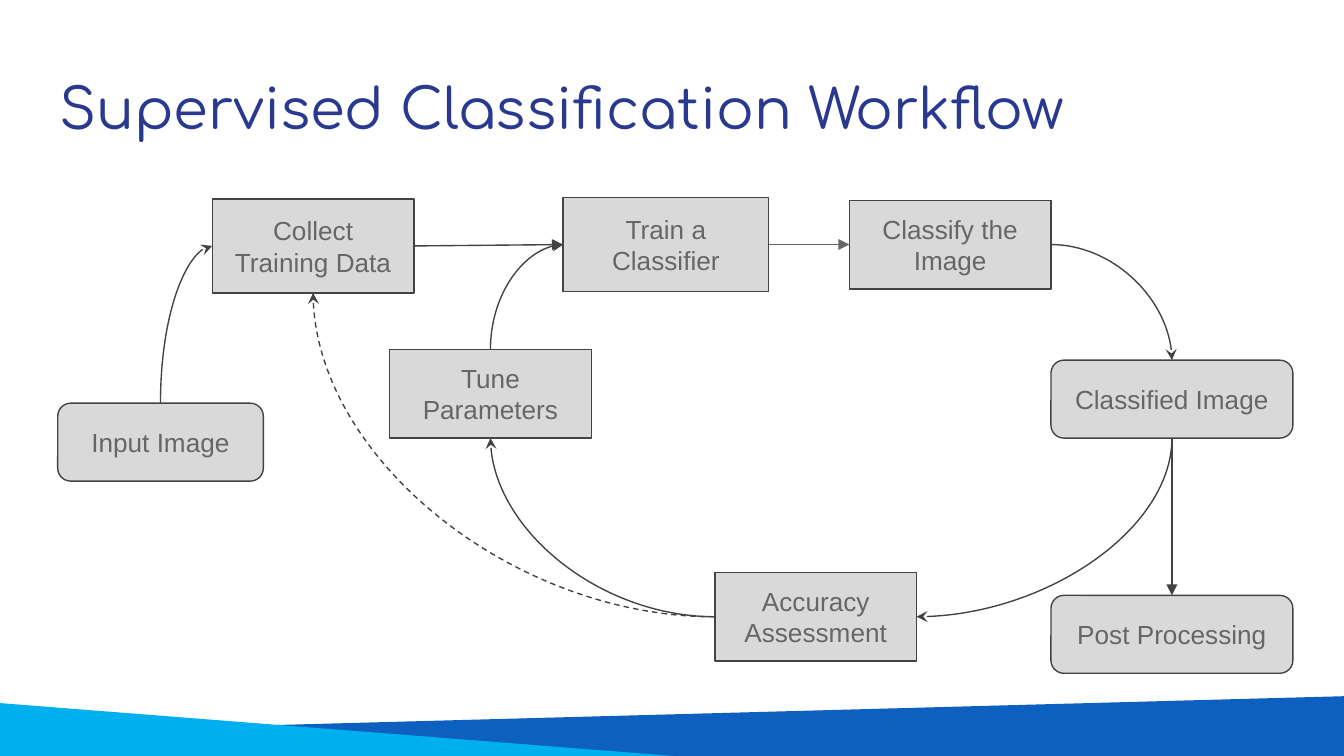
from pptx import Presentation
from pptx.dml.color import RGBColor
from pptx.enum.dml import MSO_LINE
from pptx.enum.shapes import MSO_CONNECTOR as CONN, MSO_SHAPE as SHAPE
from pptx.enum.text import MSO_ANCHOR as ANCHOR, MSO_AUTO_SIZE as SIZE, PP_ALIGN as ALIGN
from pptx.oxml.ns import qn
from pptx.util import Inches, Pt
from lxml import etree

NAVY = RGBColor(0x2A, 0x39, 0x90)
BLUE = RGBColor(0x0E, 0x60, 0xC0)
CYAN = RGBColor(0x00, 0xAF, 0xEF)
PALE = RGBColor(0xD9, 0xD9, 0xD9)
DARK = RGBColor(0x43, 0x43, 0x43)
GRAY = RGBColor(0x66, 0x66, 0x66)
TOP, LEFT, BOTTOM, RIGHT = range(4)


def style(text, anchor, align, name, size, color):
    frame = text.text_frame
    side = Inches(0.1)
    form = dict(word_wrap=True, auto_size=SIZE.NONE, vertical_anchor=anchor,
                margin_left=side, margin_right=side, margin_top=side, margin_bottom=side)
    for key, val in form.items():
        setattr(frame, key, val)
    para = frame.paragraphs[0]
    para.alignment = align
    for key, val in dict(name=name, size=Pt(size)).items():
        setattr(para.font, key, val)
    para.font.color.rgb = color


def link(kind, start, end, color, mark, head):
    """Join two (box, side) ports; mark is the arrow's end tag, head its type."""
    line = shapes.add_connector(kind, 0, 0, 0, 0)
    if kind == CONN.STRAIGHT:
        line.begin_connect(boxes[start[0]], start[1])
        line.end_connect(boxes[end[0]], end[1])
    else:
        spots = []
        for name, side in (start, end):
            box = boxes[name]
            spots += [box.left + box.width * (1, 0, 1, 2)[side] // 2,
                      box.top + box.height * (0, 1, 2, 1)[side] // 2]
        line.begin_x, line.begin_y, line.end_x, line.end_y = spots
        line._element.spPr.find(qn("a:prstGeom")).set("prst", "curvedConnector2")
    line.line.color.rgb = color
    line.line.width = Pt(0.75)
    etree.SubElement(line.line._get_or_add_ln(), qn(mark), type=head)
    etree.SubElement(line._element.spPr, qn("a:effectLst"))
    return line


deck = Presentation()
deck.slide_width = Inches(10)
deck.slide_height = deck.slide_width * 9 // 16
slide = deck.slides.add_slide(deck.slide_layouts[5])
shapes = slide.shapes

# Bottom bands
bands = [
    (BLUE, [(10.02, 5.66), (10.01, 5.18), (0.02, 5.45), (0.03, 5.63)]),
    (CYAN, [(5.2, 5.64), (-0.02, 5.23), (-0.02, 5.65)]),
]
for color, points in bands:
    first, *rest = [(Inches(x), Inches(y)) for x, y in points]
    path = shapes.build_freeform(*first)
    path.add_line_segments(rest, close=True)
    band = path.convert_to_shape()
    band.shadow.inherit = False
    band.fill.solid()
    band.fill.fore_color.rgb = color
    band.line.fill.background()

# Title
title = shapes.title
for key, val in dict(left=0.34, top=0.45, width=9.32, height=0.66).items():
    setattr(title, key, Inches(val))
title.text_frame.text = "Supervised Classification Workflow"
style(title, ANCHOR.TOP, ALIGN.LEFT, "Comfortaa", 30, NAVY)

# Steps are square boxes, images and results are rounded
steps = [
    ("Input Image", SHAPE.ROUNDED_RECTANGLE, 0.43, 3, 1.53, 0.58),
    ("Collect Training Data", SHAPE.RECTANGLE, 1.58, 1.48, 1.5, 0.7),
    ("Classify the Image", SHAPE.RECTANGLE, 6.32, 1.49, 1.5, 0.66),
    ("Accuracy Assessment", SHAPE.RECTANGLE, 5.32, 4.26, 1.5, 0.66),
    ("Tune Parameters", SHAPE.RECTANGLE, 2.9, 2.6, 1.5, 0.66),
    ("Train a Classifier", SHAPE.RECTANGLE, 4.19, 1.47, 1.53, 0.7),
    ("Classified Image", SHAPE.ROUNDED_RECTANGLE, 7.82, 2.68, 1.8, 0.58),
    ("Post Processing", SHAPE.ROUNDED_RECTANGLE, 7.82, 4.43, 1.8, 0.58),
]
boxes = {}
for name, kind, *place in steps:
    box = shapes.add_shape(kind, *map(Inches, place))
    box.shadow.inherit = False
    box.fill.solid()
    box.fill.fore_color.rgb = PALE
    box.line.color.rgb = DARK
    box.line.width = Pt(0.75)
    box.text_frame.text = name
    style(box, ANCHOR.MIDDLE, ALIGN.CENTER, "Arial", 14, GRAY)
    boxes[name] = box

# Straight arrows
for start, end, color in [
    (("Train a Classifier", RIGHT), ("Classify the Image", LEFT), GRAY),
    (("Collect Training Data", RIGHT), ("Train a Classifier", LEFT), DARK),
    (("Classified Image", BOTTOM), ("Post Processing", TOP), DARK),
]:
    link(CONN.STRAIGHT, start, end, color, "a:tailEnd", "triangle")

# Curves leave a box sideways and meet the next one upright,
# so those that flow into a box's side carry the arrow at their start
for start, end, mark in [
    (("Classify the Image", RIGHT), ("Classified Image", TOP), "a:tailEnd"),
    (("Accuracy Assessment", RIGHT), ("Classified Image", BOTTOM), "a:headEnd"),
    (("Accuracy Assessment", LEFT), ("Tune Parameters", BOTTOM), "a:tailEnd"),
    (("Collect Training Data", LEFT), ("Input Image", TOP), "a:headEnd"),
    (("Train a Classifier", LEFT), ("Tune Parameters", TOP), "a:headEnd"),
]:
    link(CONN.CURVE, start, end, DARK, mark, "stealth")
retry = link(CONN.CURVE, ("Accuracy Assessment", LEFT),
             ("Collect Training Data", BOTTOM), DARK, "a:tailEnd", "stealth")
retry.line.dash_style = MSO_LINE.DASH

deck.save("out.pptx")
